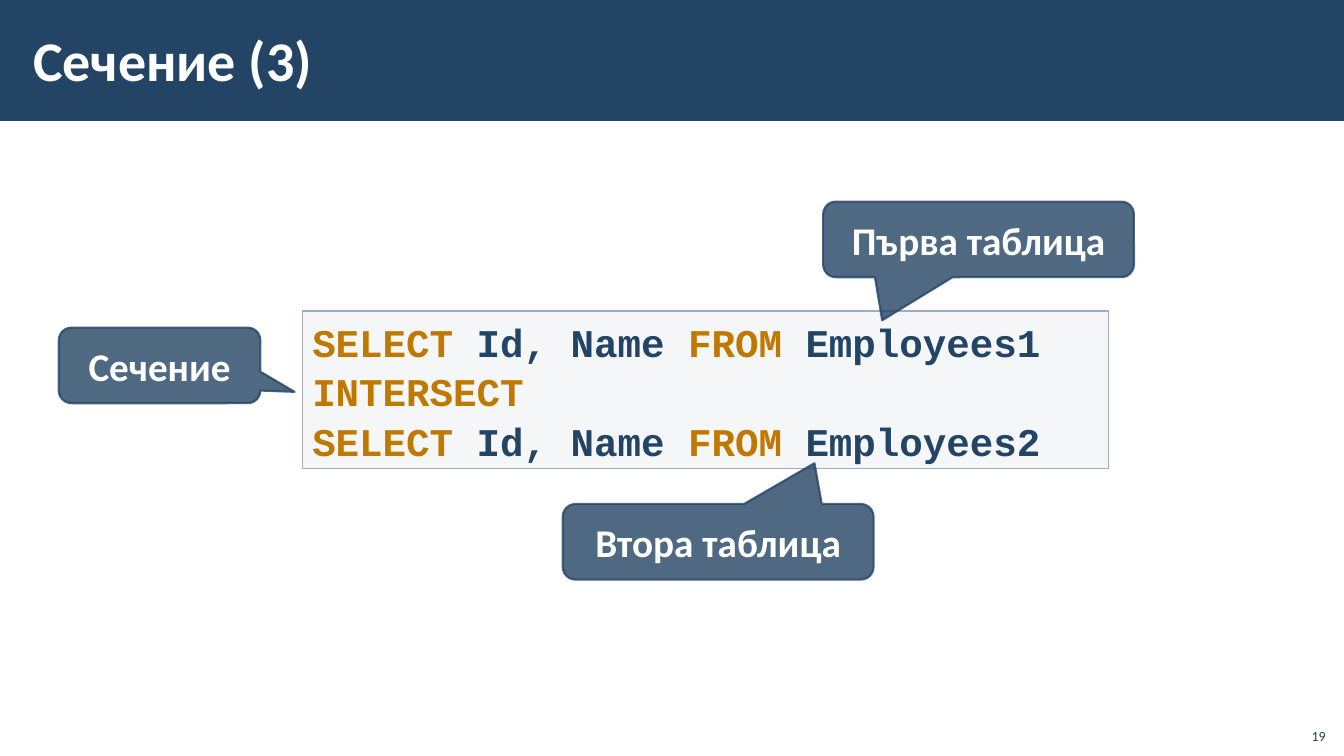
from dataclasses import dataclass

from lxml import etree
from pptx import Presentation
from pptx.dml.color import RGBColor
from pptx.enum.shapes import MSO_SHAPE
from pptx.enum.text import MSO_ANCHOR, PP_ALIGN
from pptx.oxml.ns import qn
from pptx.shapes.autoshape import Shape
from pptx.slide import Slide
from pptx.util import Inches, Pt

RECTANGLE = MSO_SHAPE.RECTANGLE
CALLOUT = MSO_SHAPE.ROUNDED_RECTANGULAR_CALLOUT
TOP, MIDDLE, BOTTOM = MSO_ANCHOR.TOP, MSO_ANCHOR.MIDDLE, MSO_ANCHOR.BOTTOM
LEFT, CENTER, RIGHT = PP_ALIGN.LEFT, PP_ALIGN.CENTER, PP_ALIGN.RIGHT

NAVY = RGBColor(0x23, 0x44, 0x65)
AMBER = RGBColor(0xBF, 0x78, 0x00)
PALE = RGBColor(0xC2, 0xC7, 0xD2)
BORDER = RGBColor(0xA3, 0xAB, 0xBC)
WHITE = RGBColor(0xFF, 0xFF, 0xFF)

# The slide is a grid of 160 columns by 90 rows
COLUMNS, ROWS = 160, 90
CELL = Inches(1) / 12

TITLE_FORMAT = {"name": "Calibri", "size": Pt(40), "bold": True}
LABEL_FORMAT = {"name": "Calibri", "size": Pt(28), "bold": True}
CODE_FORMAT = {"name": "Courier New", "size": Pt(28), "bold": True}
NUMBER_FORMAT = {"name": "Calibri", "size": Pt(10), "bold": False}

KEYWORDS = {"SELECT", "FROM", "INTERSECT"}


@dataclass(frozen=True)
class Box:
    column: float
    row: float
    width: float
    height: float

    def emu(self) -> list[int]:
        return [round(value * CELL) for value in
                (self.column, self.row, self.width, self.height)]


@dataclass(frozen=True)
class Label:
    text: str
    box: Box
    tip_x: float
    tip_y: float


HEADER = Box(0, 0, COLUMNS, 14.4)
TITLE = Box(2.5, 1.3, 134.8, 11.5)
CODE = Box(36, 37, 96, 18.8)
NUMBER = Box(154.2, 85.4, 4.8, 3.8)

CODE_LINES = [
    ["SELECT", " Id, Name ", "FROM", " Employees1"],
    ["INTERSECT"],
    ["SELECT", " Id, Name ", "FROM", " Employees2"],
]
LABELS = [
    Label("Първа таблица", Box(98, 24, 37, 9), -0.31, 1.07),
    Label("Втора таблица", Box(67, 60, 37, 9), 0.31, -1.04),
    Label("Сечение", Box(7, 39, 24, 9), 0.67, 0.35),
]


def set_opacity(parent: etree._Element, percent: int) -> None:
    color = parent.find(qn("a:solidFill")).find(qn("a:srgbClr"))
    etree.SubElement(color, qn("a:alpha"), val=str(percent * 1000))


def add_panel(slide: Slide, kind: MSO_SHAPE, box: Box, fill: RGBColor) -> Shape:
    shape = slide.shapes.add_shape(kind, *box.emu())
    shape.shadow.inherit = False
    shape.fill.solid()
    shape.fill.fore_color.rgb = fill
    shape.line.fill.background()
    return shape


def set_outline(shape: Shape, color: RGBColor, width: float) -> None:
    shape.line.color.rgb = color
    shape.line.width = Pt(width)


def write(shape: Shape, lines: list[list[str]], font_format: dict, color: RGBColor,
          anchor: MSO_ANCHOR, alignment: PP_ALIGN, spacing: float = 1.0,
          side: float = 0.1) -> None:
    frame = shape.text_frame
    frame.word_wrap = True
    frame.vertical_anchor = anchor
    frame.margin_left = frame.margin_right = Inches(side)
    for index, parts in enumerate(lines):
        paragraph = frame.add_paragraph() if index else frame.paragraphs[0]
        paragraph.alignment = alignment
        paragraph.line_spacing = spacing
        for part in parts:
            run = paragraph.add_run()
            run.text = part
            for name, value in font_format.items():
                setattr(run.font, name, value)
            run.font.color.rgb = AMBER if part in KEYWORDS else color


def add_label(slide: Slide, label: Label) -> None:
    shape = add_panel(slide, CALLOUT, label.box, NAVY)
    for index, value in enumerate((label.tip_x, label.tip_y, 0.167)):
        shape.adjustments[index] = value
    set_outline(shape, NAVY, 1.5)
    properties = shape._element.spPr
    for parent in (properties, properties.find(qn("a:ln"))):
        set_opacity(parent, 80)
    write(shape, [[label.text]], LABEL_FORMAT, WHITE, MIDDLE, CENTER)


def main() -> None:
    presentation = Presentation()
    presentation.slide_width = round(COLUMNS * CELL)
    presentation.slide_height = round(ROWS * CELL)
    slide = presentation.slides.add_slide(presentation.slide_layouts[6])

    # Header band and title
    add_panel(slide, RECTANGLE, HEADER, NAVY)
    title = slide.shapes.add_textbox(*TITLE.emu())
    write(title, [["Сечение (3)"]], TITLE_FORMAT, WHITE, MIDDLE, LEFT, side=0.12)

    # Query
    code = add_panel(slide, RECTANGLE, CODE, PALE)
    set_opacity(code._element.spPr, 15)
    set_outline(code, BORDER, 1)
    write(code, CODE_LINES, CODE_FORMAT, NAVY, TOP, LEFT, spacing=1.05)

    # Callouts
    for label in LABELS:
        add_label(slide, label)

    # Slide number
    number = slide.shapes.add_textbox(*NUMBER.emu())
    write(number, [["19"]], NUMBER_FORMAT, NAVY, BOTTOM, RIGHT)

    presentation.save("out.pptx")


if __name__ == "__main__":
    main()
